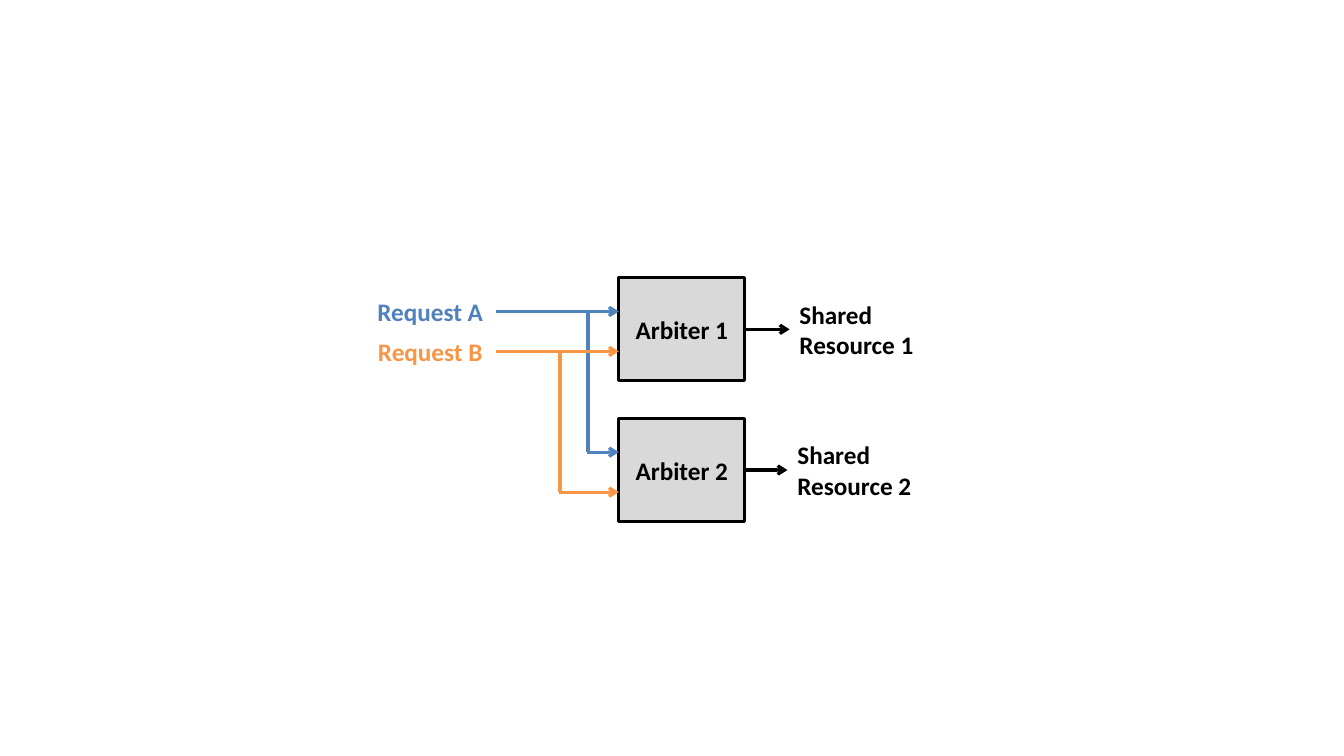
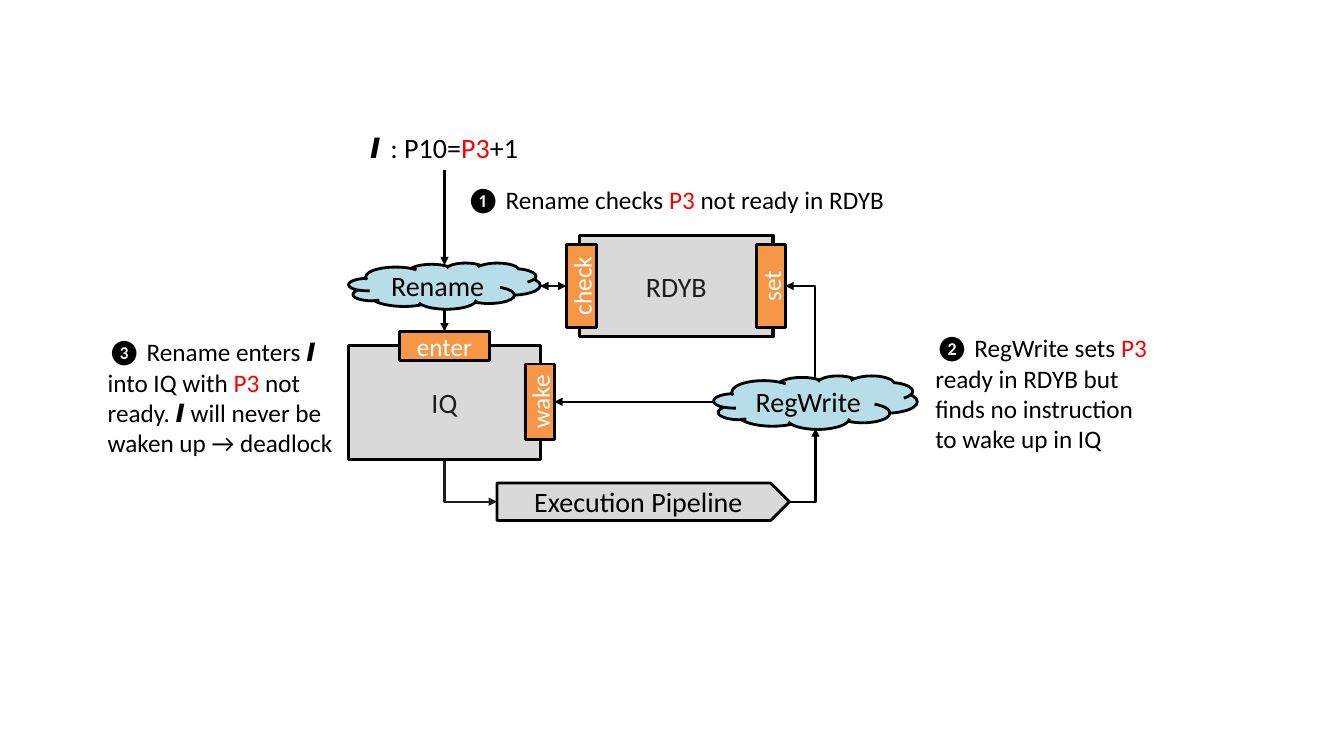
from dataclasses import dataclass

from lxml import etree
from pptx import Presentation
from pptx.dml.color import RGBColor
from pptx.enum import shapes, text
from pptx.oxml import ns
from pptx.util import Pt

COLORS = {
    "black": "000000",
    "ink": "1D1D1D",
    "white": "FFFFFF",
    "red": "FF0000",
    "gray": "D9D9D9",
    "sky": "B7DEE8",
    "blue": "4F81BD",
    "orange": "F79646",
}
SHAPE = shapes.MSO_SHAPE
ALIGN = text.PP_ALIGN
ANCHOR = text.MSO_ANCHOR
BASE_FONT = {"name": "Calibri", "size": Pt(18), "bold": False, "italic": False}
SYMBOL_FONT = {"name": "DejaVu Sans", "bold": True, "italic": True}

RED_P3 = ("P3", {"color": "red"})
SYMBOL_I = ("I", SYMBOL_FONT)


@dataclass
class Box:
    """A filled block with a centred caption."""
    caption: str
    left: float
    top: float
    width: float
    height: float
    kind: SHAPE = SHAPE.RECTANGLE
    fill: str = "gray"
    color: str = "black"
    size: float = 20
    bold: bool = False
    border: float = 2
    rotation: float = 0


@dataclass
class Label:
    """Free text; each run is a string or a (string, format) pair."""
    runs: list
    left: float
    top: float
    width: float
    height: float
    color: str = "black"
    size: float = 18
    bold: bool = False
    align: ALIGN = ALIGN.LEFT
    wrap: bool = True


@dataclass
class Wire:
    """A line; a bent one runs across first, then up or down."""
    x1: float
    y1: float
    x2: float
    y2: float
    color: str = "black"
    weight: float = 1.5
    head: str = ""
    tail: str = "triangle"
    bent: bool = False


def rgb(name: str) -> RGBColor:
    return RGBColor.from_string(COLORS[name])


def set_attrs(obj, values: dict) -> None:
    for name, value in values.items():
        setattr(obj, name, value)


def add_run(p, content: str, color: str, **fmt) -> None:
    r = p.add_run()
    r.text = content
    set_attrs(r.font, {**BASE_FONT, **fmt})
    r.font.color.rgb = rgb(color)


def draw_box(s, box: Box) -> None:
    sp = s.shapes.add_shape(box.kind, Pt(box.left), Pt(box.top),
                            Pt(box.width), Pt(box.height))
    sp.shadow.inherit = False
    sp.rotation = box.rotation
    sp.fill.solid()
    sp.fill.fore_color.rgb = rgb(box.fill)
    sp.line.color.rgb = rgb("black")
    sp.line.width = Pt(box.border)
    tf = sp.text_frame
    set_attrs(tf, {"word_wrap": False, "vertical_anchor": ANCHOR.MIDDLE})
    p = tf.paragraphs[0]
    p.alignment = ALIGN.CENTER
    add_run(p, box.caption, box.color, size=Pt(box.size), bold=box.bold)


def draw_label(s, label: Label) -> None:
    sp = s.shapes.add_textbox(Pt(label.left), Pt(label.top),
                              Pt(label.width), Pt(label.height))
    tf = sp.text_frame
    tf.word_wrap = label.wrap
    p = tf.paragraphs[0]
    p.alignment = label.align
    for run in label.runs:
        content, fmt = (run, {}) if isinstance(run, str) else run
        add_run(p, content, **{"color": label.color, "size": Pt(label.size),
                               "bold": label.bold, **fmt})


def draw_wire(s, wire: Wire) -> None:
    kind = shapes.MSO_CONNECTOR.ELBOW if wire.bent else shapes.MSO_CONNECTOR.STRAIGHT
    sp = s.shapes.add_connector(kind, Pt(wire.x1), Pt(wire.y1),
                                Pt(wire.x2), Pt(wire.y2))
    sp.line.color.rgb = rgb(wire.color)
    sp.line.width = Pt(wire.weight)
    props = sp._element.spPr
    if wire.bent:
        props.find(ns.qn("a:prstGeom")).set("prst", "bentConnector2")
    for tag, arrow in (("a:headEnd", wire.head), ("a:tailEnd", wire.tail)):
        if arrow:
            etree.SubElement(sp.line._ln, ns.qn(tag), type=arrow)
    etree.SubElement(props, ns.qn("a:effectLst"))


DRAW = {Box: draw_box, Label: draw_label, Wire: draw_wire}


def draw_all(s, items: list) -> None:
    for item in items:
        DRAW[type(item)](s, item)


def arbiter_items() -> list:
    left, top, width, height, pitch = 442, 198.5, 90, 73.5, 100.5
    bold = {"size": 18, "bold": True}
    thick = {"weight": 2.25}
    items = []
    for i, shift in enumerate((0, -1.5)):
        y = top + i * pitch
        out_x, out_y = left + width + shift, y + height / 2
        items += [
            Box(f"Arbiter {i + 1}", left, y, width, height, border=2.25, **bold),
            Wire(out_x, out_y, out_x + 32, out_y, tail="arrow", **thick),
            Label([f"Shared Resource {i + 1}"], out_x + 32, y + 11.5, 103, 51, **bold),
        ]
    for name, color, offset, branch_x in (("A", "blue", 24, 420),
                                          ("B", "orange", 52.5, 400)):
        y = top + offset
        style = {"color": color, **thick}
        items += [
            Label([f"Request {name}"], 262, y - 14.4, 90.7, 28.8, color=color,
                  align=ALIGN.CENTER, wrap=False, **bold),
            Wire(354, y, left, y, tail="arrow", **style),
            Wire(branch_x - 1, y + pitch, left, y + pitch, tail="arrow", **style),
            Wire(branch_x, y, branch_x, y + pitch, tail="", **style),
        ]
    return items


def deadlock_items() -> list:
    rename_x, write_x = 317.5, 582.5
    check_y, wake_y, pipe_y = 204.3, 287, 358.4
    port = {"fill": "orange", "color": "white", "size": 18}
    block = {"color": "ink", "border": 2.25}
    cloud = {"kind": SHAPE.CLOUD, "fill": "sky"}

    def side_port(caption: str, x: float, y: float, length: float) -> Box:
        """Port centred on x, y and turned to read upwards."""
        return Box(caption, x - length / 2, y - 10.5, length, 21, rotation=270, **port)

    return [
        Box("RegWrite", 509.8, 268.4, 145.4, 38.2, **cloud),
        Box("Rename", 249.1, 187.8, 136.8, 33, **cloud),
        Box("Execution Pipeline", 355, 345, 208.8, 26.8, kind=SHAPE.PENTAGON),
        Wire(355, pipe_y, rename_x, 328, color="ink", head="triangle", tail="", bent=True),
        Box("IQ", 249.1, 246.8, 136.8, 81.2, **block),
        Box("enter", 285.1, 236.8, 64.8, 21, **port),
        side_port("wake", 385.6, wake_y, 54),
        Box("RDYB", 414, 168, 138.2, 72.5, **block),
        side_port("check", 415.4, check_y, 59),
        side_port("set", 550.8, check_y, 59),
        Wire(509.8, wake_y, 396, wake_y),
        Wire(561, check_y, write_x, 270.7, head="triangle", tail="", bent=True),
        Wire(563.8, pipe_y, write_x, 306, bent=True),
        Wire(385.9, check_y, 404.6, check_y, head="triangle"),
        Wire(rename_x, 221, rename_x, 236.8),
        Wire(rename_x, 121.7, rename_x, 189.4),
        Label([("I ", SYMBOL_FONT), ": P10=", RED_P3, "+1"],
              254.2, 90, 126, 31.5, size=20, align=ALIGN.CENTER),
        Label(["❶ Rename checks ", RED_P3, " not ready in RDYB"],
              326.2, 128.2, 316, 28.8, wrap=False),
        Label(["❷ RegWrite sets ", RED_P3,
               " ready in RDYB but finds no instruction to wake up in IQ"],
              661, 234, 167, 94.3),
        Label(["❸ Rename enters ", SYMBOL_I, " into IQ with ", RED_P3, " not ready. ",
               SYMBOL_I, " will never be waken up → deadlock"],
              69.8, 236.9, 182.2, 94.3),
    ]


def main() -> None:
    prs = Presentation()
    set_attrs(prs, {"slide_width": Pt(960), "slide_height": Pt(540)})
    blank = prs.slide_layouts[6]
    for items in (arbiter_items(), deadlock_items()):
        draw_all(prs.slides.add_slide(blank), items)
    prs.save("out.pptx")


if __name__ == "__main__":
    main()
